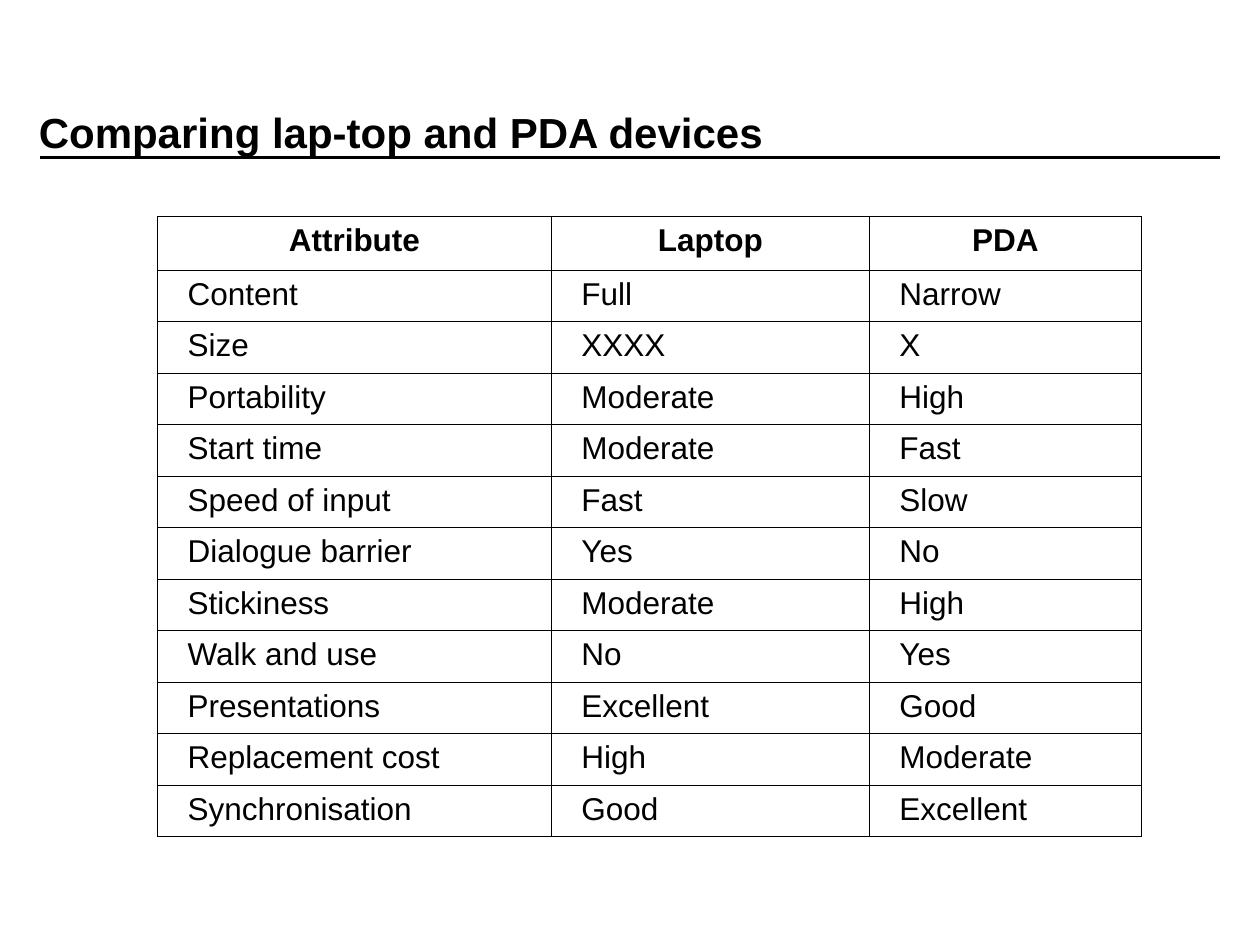
"""Build a slide comparing lap-top and PDA devices in a table."""
import lxml.etree
import pptx
import pptx.dml.color
import pptx.enum.shapes
import pptx.enum.text
import pptx.oxml
import pptx.oxml.ns
import pptx.util

Pt = pptx.util.Pt
qn = pptx.oxml.ns.qn
ALIGN = pptx.enum.text.PP_ALIGN
ANCHOR = pptx.enum.text.MSO_ANCHOR
BLACK = pptx.dml.color.RGBColor(0x00, 0x00, 0x00)
WHITE = pptx.dml.color.RGBColor(0xFF, 0xFF, 0xFF)

COLUMN_WIDTHS = (225.1, 181.7, 155.5)
HEADER_HEIGHT, ROW_HEIGHT = 30.8, 29.43
OUTER_BORDER, INNER_BORDER = 0.75, 0.45
COMPARISON = (
    ("Attribute", "Laptop", "PDA"),
    ("Content", "Full", "Narrow"),
    ("Size", "XXXX", "X"),
    ("Portability", "Moderate", "High"),
    ("Start time", "Moderate", "Fast"),
    ("Speed of input", "Fast", "Slow"),
    ("Dialogue barrier", "Yes", "No"),
    ("Stickiness", "Moderate", "High"),
    ("Walk and use", "No", "Yes"),
    ("Presentations", "Excellent", "Good"),
    ("Replacement cost", "High", "Moderate"),
    ("Synchronisation", "Good", "Excellent"),
)


def write_text(frame, text, *, size, font="Arial", color=BLACK, bold=False, align=ALIGN.LEFT):
    paragraph = frame.paragraphs[0]
    paragraph.alignment = align
    run = paragraph.add_run()
    run.text = text
    run.font.name = font
    run.font.size = Pt(size)
    run.font.bold = bold
    run.font.color.rgb = color


class SlideWriter:
    def __init__(self, slide, font="Arial", color=BLACK):
        self.slide, self.font, self.color = slide, font, color
        slide.background.fill.solid()
        slide.background.fill.fore_color.rgb = WHITE

    def title(self, text, left, top, width, height):
        heading = self.slide.shapes.add_textbox(Pt(left), Pt(top), Pt(width), Pt(height))
        heading.text_frame.word_wrap = True
        heading.text_frame.vertical_anchor = ANCHOR.MIDDLE
        write_text(heading.text_frame, text, size=24, font=self.font, color=self.color, bold=True)

    def rule(self, left, right, y, weight):
        underline = self.slide.shapes.add_connector(
            pptx.enum.shapes.MSO_CONNECTOR.STRAIGHT, Pt(left), Pt(y), Pt(right), Pt(y))
        underline.line.color.rgb = self.color
        underline.line.width = Pt(weight)
        lxml.etree.SubElement(underline._element.spPr, qn("a:effectLst"))

    def borders(self, cell, weights):
        properties = cell._tc.get_or_add_tcPr()
        for side, weight in weights.items():
            edge = lxml.etree.SubElement(properties, qn(f"a:ln{side}"), w=str(int(Pt(weight))))
            fill = lxml.etree.SubElement(edge, qn("a:solidFill"))
            lxml.etree.SubElement(fill, qn("a:srgbClr"), val=str(self.color))

    def table(self, records, left, top, widths, heights):
        last_row, last_column = len(records) - 1, len(widths) - 1
        grid = self.slide.shapes.add_table(
            len(records), len(widths), Pt(left), Pt(top), Pt(sum(widths)), Pt(sum(heights))).table
        grid.first_row = grid.horz_banding = False
        for column, width in zip(grid.columns, widths):
            column.width = Pt(width)
        for r, record in enumerate(records):
            grid.rows[r].height = Pt(heights[r])
            for c, text in enumerate(record):
                cell = grid.cell(r, c)
                header = r == 0
                if not header:
                    cell.margin_left = Pt(17.2)
                write_text(cell.text_frame, text, size=18, font=self.font, color=self.color,
                           bold=header, align=ALIGN.CENTER if header else ALIGN.LEFT)
                outer = {"L": c == 0, "R": c == last_column, "T": r == 0, "B": r == last_row}
                self.borders(cell, {side: OUTER_BORDER if edge else INNER_BORDER
                                    for side, edge in outer.items()})
                cell.fill.background()


def main():
    deck = pptx.Presentation()
    deck.slide_width, deck.slide_height = Pt(720), Pt(540)
    writer = SlideWriter(deck.slides.add_slide(deck.slide_layouts[6]))
    writer.rule(23, 697, 90, 2)
    writer.title("Comparing lap-top and PDA devices", 15.1, 30.2, 612, 90)
    heights = [HEADER_HEIGHT] + [ROW_HEIGHT] * (len(COMPARISON) - 1)
    writer.table(COMPARISON, 90, 123.7, COLUMN_WIDTHS, heights)
    deck.save("out.pptx")


if __name__ == "__main__":
    main()
